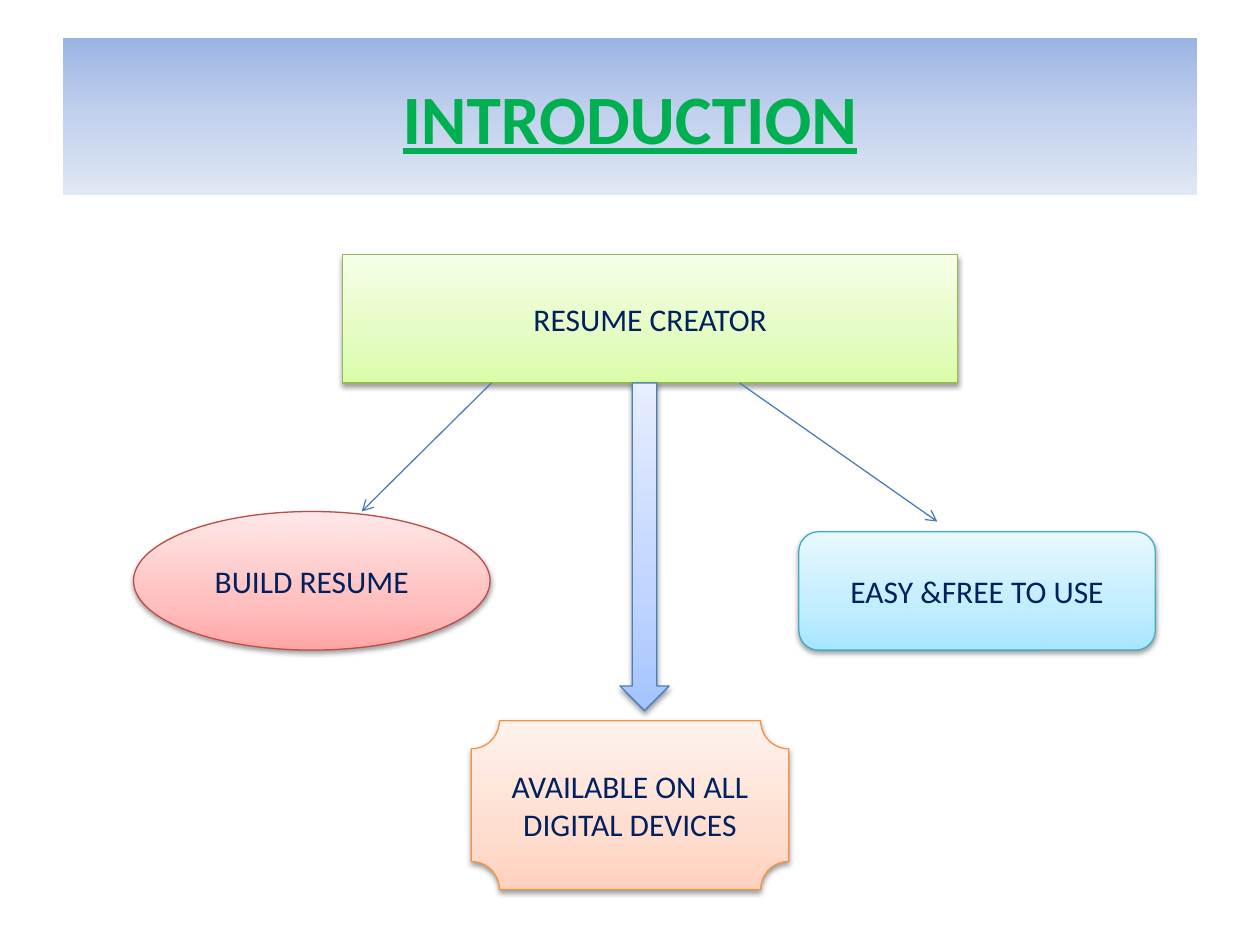
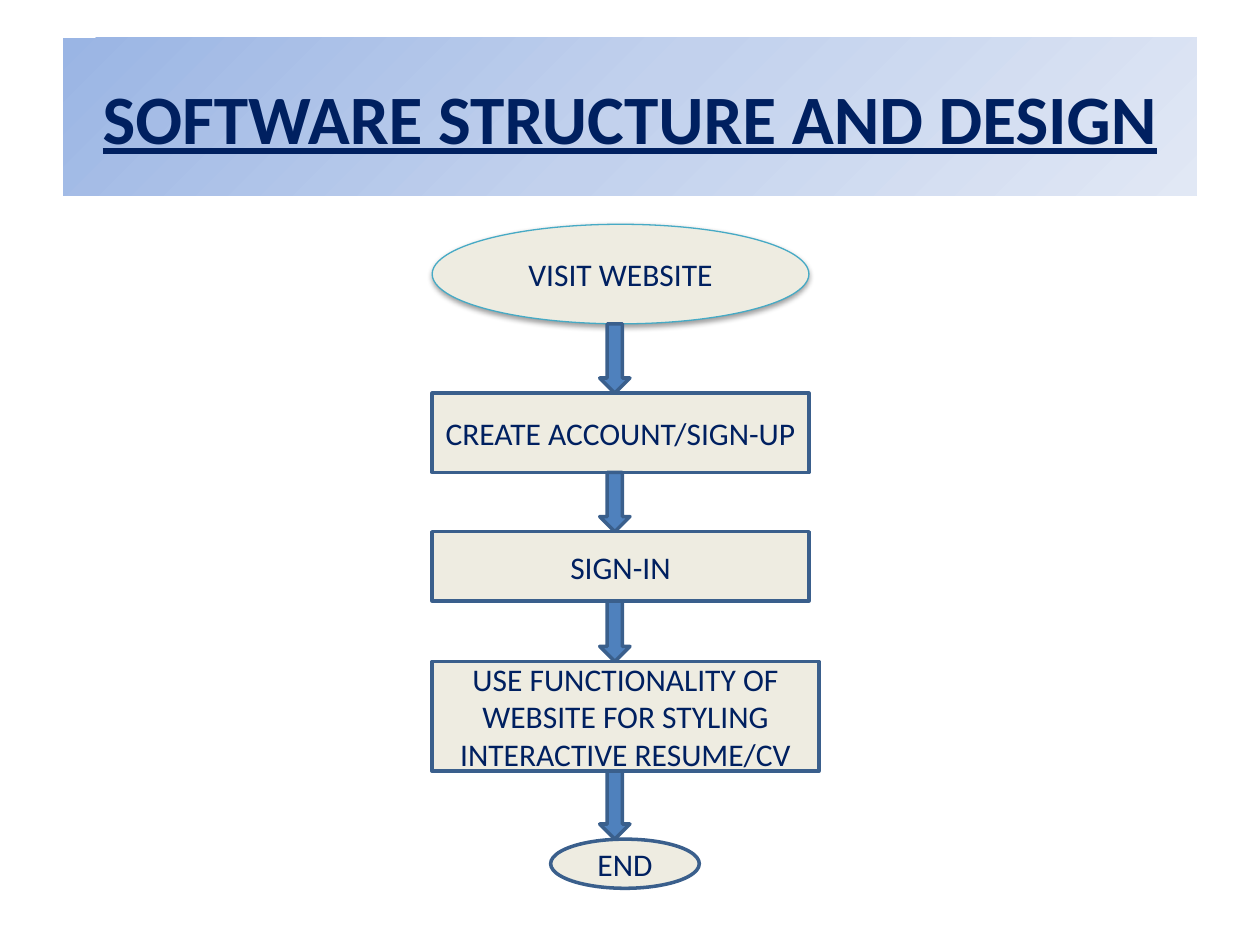
from dataclasses import dataclass

from lxml import etree
from pptx import Presentation
from pptx.dml.color import RGBColor
from pptx.enum.shapes import MSO_CONNECTOR, MSO_SHAPE as SHAPE
from pptx.enum.text import MSO_ANCHOR, MSO_AUTO_SIZE, PP_ALIGN
from pptx.oxml.ns import qn
from pptx.util import Inches, Pt


@dataclass(frozen=True)
class Theme:
    font: str = "Calibri"
    title_size: float = 39.6
    body_size: float = 18
    navy: str = "002060"
    green: str = "00B050"
    beige: str = "EEECE1"
    step_line: str = "3A5F8C"
    step_arrow: str = "4F81BD"
    link: str = "4B7EBC"
    aqua_line: str = "46AAC5"
    thin: float = 0.75
    thick: float = 2
    band: tuple = ((0, "9AB5E4"), (50, "C2D1ED"), (100, "E1E8F5"))
    lime: tuple = ((0, "DAFDA7"), (35, "E4FCC2"), (100, "F5FFE7"))
    red: tuple = ((0, "FFA6A5"), (35, "FFC0BF"), (100, "FFE7E7"))
    aqua: tuple = ((0, "A7E6FF"), (35, "C1EDFF"), (100, "E7F8FF"))
    orange: tuple = ((0, "FFD2BD"), (35, "FFDED0"), (100, "FFF2ED"))
    blue: tuple = ((0, "A4C4FF"), (35, "BFD4FF"), (100, "E6EEFF"))


theme = Theme()


def write_text(shape, text, size=theme.body_size, color=theme.navy,
               bold=False, underline=False):
    frame = shape.text_frame
    frame.word_wrap = True
    frame.auto_size = MSO_AUTO_SIZE.NONE
    frame.vertical_anchor = MSO_ANCHOR.MIDDLE
    paragraph = frame.paragraphs[0]
    paragraph.alignment = PP_ALIGN.CENTER
    run = paragraph.add_run()
    run.text = text
    run.font.name = theme.font
    run.font.size = Pt(size)
    run.font.bold = bold
    run.font.underline = underline
    run.font.color.rgb = RGBColor.from_string(color)


def style_shape(shape, fill, line=None, width=theme.thin, angle=270, shadow=False):
    """Fill with a colour or with gradient stops, then set outline and shadow."""
    shape.fill.solid()
    properties = shape.fill._xPr
    if isinstance(fill, str):
        shape.fill.fore_color.rgb = RGBColor.from_string(fill)
    else:
        gradient = etree.Element(qn("a:gradFill"), rotWithShape="1")
        stops = etree.SubElement(gradient, qn("a:gsLst"))
        for position, color in fill:
            stop = etree.SubElement(stops, qn("a:gs"), pos=str(position * 1000))
            etree.SubElement(stop, qn("a:srgbClr"), val=color)
        etree.SubElement(gradient, qn("a:lin"), ang=str(angle * 60000), scaled="0")
        properties.replace(properties.find(qn("a:solidFill")), gradient)
    if line:
        shape.line.color.rgb = RGBColor.from_string(line)
        shape.line.width = Pt(width)
    shape.shadow.inherit = False
    if shadow:
        outer = etree.SubElement(
            properties.find(qn("a:effectLst")), qn("a:outerShdw"),
            blurRad=str(Pt(3.1)), dist=str(Pt(1.6)), dir="5400000", rotWithShape="0")
        black = etree.SubElement(outer, qn("a:srgbClr"), val="000000")
        etree.SubElement(black, qn("a:alpha"), val="38000")


prs = Presentation()
prs.slide_width, prs.slide_height = Inches(10), Inches(7.5)

# Slides with their title bands
slides = []
for heading, color, angle in [
    ("INTRODUCTION", theme.green, 90),
    ("SOFTWARE STRUCTURE AND DESIGN", theme.navy, 45),
]:
    slide = prs.slides.add_slide(prs.slide_layouts[5])
    title = slide.shapes.title
    title.left, title.top = Inches(0.5), Inches(0.3)
    title.width, title.height = Inches(9), Inches(1.25)
    style_shape(title, theme.band, angle=angle)
    write_text(title, heading, size=theme.title_size, color=color,
               bold=True, underline=True)
    slides.append(slide)
introduction, structure = slides

# Introduction: the product and its three features
for kind, text, box, fill, line in [
    (SHAPE.RECTANGLE, "RESUME CREATOR", (2.72, 2.02, 4.88, 1.02), theme.lime, "98B955"),
    (SHAPE.OVAL, "BUILD RESUME", (1.06, 4.06, 2.83, 1.1), theme.red, "BF4C48"),
    (SHAPE.ROUNDED_RECTANGLE, "EASY &FREE TO USE", (6.34, 4.22, 2.83, 0.94),
     theme.aqua, theme.aqua_line),
    (SHAPE.PLAQUE, "AVAILABLE ON ALL DIGITAL DEVICES", (3.74, 5.72, 2.52, 1.34),
     theme.orange, "F69240"),
    (SHAPE.DOWN_ARROW, "", (4.92, 3.04, 0.39, 2.6), theme.blue, theme.link),
]:
    feature = introduction.shapes.add_shape(kind, *map(Inches, box))
    style_shape(feature, fill, line, shadow=True)
    if text:
        write_text(feature, text)

# Introduction: slanted arrows to the side features
for ends in [(5.87, 3.04, 7.44, 4.14), (3.9, 3.04, 2.87, 4.06)]:
    link = introduction.shapes.add_connector(MSO_CONNECTOR.STRAIGHT, *map(Inches, ends))
    link.line.color.rgb = RGBColor.from_string(theme.link)
    link.line.width = Pt(theme.thin)
    etree.SubElement(link.line._get_or_add_ln(), qn("a:tailEnd"), type="arrow")
    etree.SubElement(link._element.spPr, qn("a:effectLst"))

# Structure: the steps of the flow, from top to bottom
steps = [
    (SHAPE.OVAL, "VISIT WEBSITE", (3.43, 1.78, 2.99, 0.79)),
    (SHAPE.RECTANGLE, "CREATE ACCOUNT/SIGN-UP", (3.43, 3.12, 2.99, 0.63)),
    (SHAPE.RECTANGLE, "SIGN-IN", (3.43, 4.22, 2.99, 0.55)),
    (SHAPE.RECTANGLE, "USE FUNCTIONALITY OF WEBSITE FOR STYLING INTERACTIVE RESUME/CV",
     (3.43, 5.25, 3.07, 0.87)),
    (SHAPE.OVAL, "END", (4.37, 6.66, 1.18, 0.39)),
]
flow = []
for index, (kind, text, box) in enumerate(steps):
    step = structure.shapes.add_shape(kind, *map(Inches, box))
    if index == 0:
        style_shape(step, theme.beige, theme.aqua_line, shadow=True)
    else:
        style_shape(step, theme.beige, theme.step_line, theme.thick)
    write_text(step, text)
    flow.append(step)

# Structure: block arrows filling the gaps between steps
for upper, lower in zip(flow, flow[1:]):
    bottom = upper.top + upper.height
    arrow = structure.shapes.add_shape(
        SHAPE.DOWN_ARROW, Inches(4.76), bottom, Inches(0.24), lower.top - bottom)
    style_shape(arrow, theme.step_arrow, theme.step_line, theme.thick)

prs.save("out.pptx")
